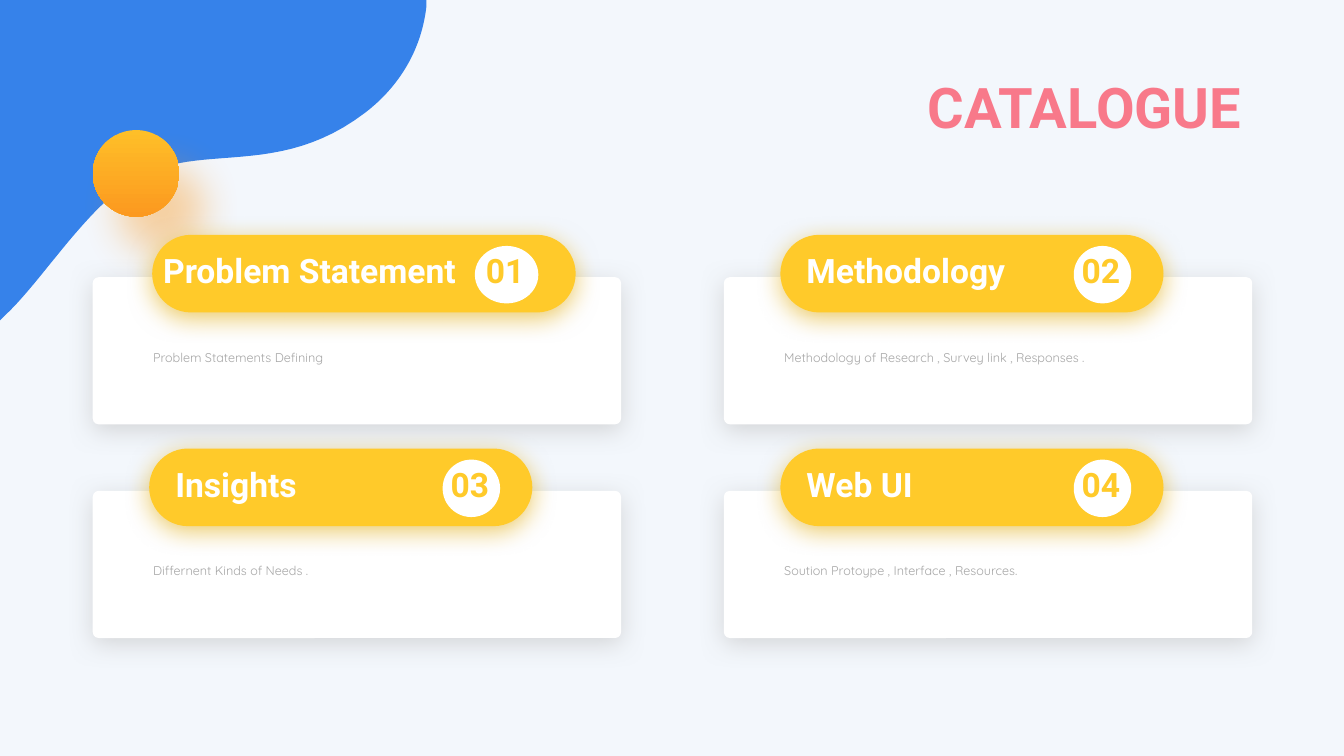
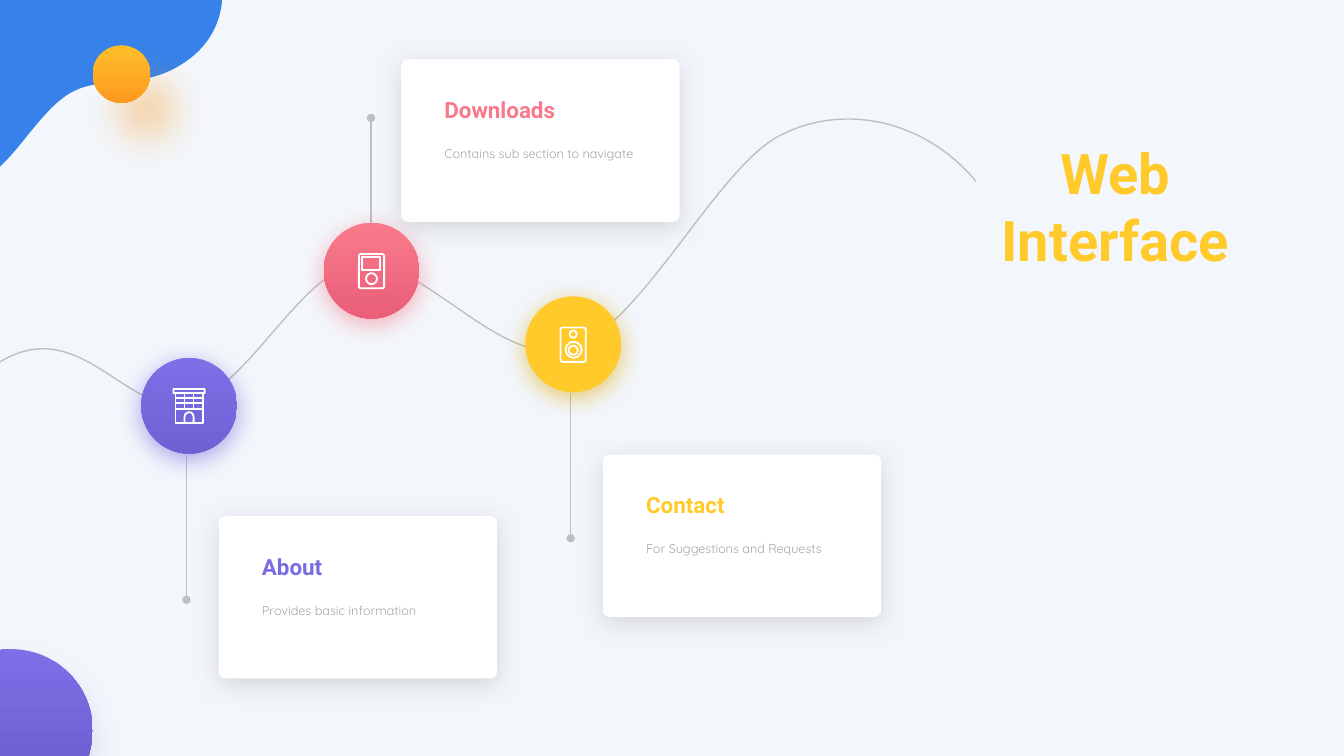
"""Build a catalogue slide and a web interface timeline slide."""
from lxml import etree
from pptx import Presentation
from pptx.dml.color import RGBColor
from pptx.enum.shapes import MSO_CONNECTOR, MSO_SHAPE
from pptx.enum.text import MSO_ANCHOR, MSO_AUTO_SIZE, PP_ALIGN
from pptx.oxml.ns import qn
from pptx.util import Inches, Pt

OVAL, RECT, ROUND = MSO_SHAPE.OVAL, MSO_SHAPE.RECTANGLE, MSO_SHAPE.ROUNDED_RECTANGLE
LEFT, MID, RIGHT = PP_ALIGN.LEFT, PP_ALIGN.CENTER, PP_ALIGN.RIGHT
TOP, FIXED = MSO_ANCHOR.TOP, MSO_AUTO_SIZE.NONE
STRAIGHT = MSO_CONNECTOR.STRAIGHT

PALE = RGBColor(0xF3, 0xF7, 0xFC)
WHITE = RGBColor(0xFF, 0xFF, 0xFF)
BLUE = RGBColor(0x36, 0x82, 0xEA)
PINK = RGBColor(0xF8, 0x79, 0x8A)
GOLD = RGBColor(0xFF, 0xCA, 0x2A)
PLUM = RGBColor(0x79, 0x6C, 0xE2)
GREY = RGBColor(0xA6, 0xA6, 0xA6)
RULE = RGBColor(0xBF, 0xBF, 0xBF)
SUNNY = (RGBColor(0xFE, 0xBF, 0x28), RGBColor(0xFC, 0x99, 0x1F))
VIOLET = (RGBColor(0x7D, 0x70, 0xE6), RGBColor(0x6D, 0x61, 0xD4))
ROSE = (RGBColor(0xF9, 0x7A, 0x8B), RGBColor(0xEA, 0x5F, 0x79))

SOFT = ("BFBFBF", 58, 18, 4, 90)
GLOW = ("DFA700", 58, 18, 4, 90)
HAZE = ("7367DB", 58, 18, 4, 90)
BLUSH = ("F8798A", 58, 18, 4, 90)
FAINT = ("7367DB", 22, 22, 11, 90)
SUN = ("FC991F", 40, 28, 31, 55)

HEAD = {"name": "Roboto", "size": Pt(40), "bold": True}
LABEL = {"name": "Roboto", "size": Pt(24), "bold": True}
NAME = {"name": "Roboto", "size": Pt(16), "bold": True}
BODY = {"name": "Quicksand", "size": Pt(9), "bold": False}
TIGHT = Pt(18)

TOPICS = [
    ("Problem Statement", "Problem Statements Defining"),
    ("Methodology", "Methodology of Research , Survey link , Responses ."),
    ("Insights", "Differnent Kinds of Needs ."),
    ("Web UI", "Soution Protoype , Interface , Resources."),
]
PILL = {"x": 0.56, "wide": 3.8, "text": 0.16, "disc": 2.91, "size": 0.57}
LONG = {"x": 0.59, "wide": 4.2, "text": 0.01, "disc": 3.2, "size": 0.63}

BLOB = [(0, 0), (4.23, 0), (4.23, 0.06), (4.19, 0.44, 4, 0.83, 3.62, 1.12),
        (2.75, 1.78, 2, 1.4, 1.35, 1.77), (0.87, 2.04, 0.43, 2.77, 0.06, 3.12),
        (0, 3.18)]
WAVE = [(0, 3.59), (0.8, 3.1, 1.27, 4.16, 1.88, 4), (2.49, 3.84, 3.03, 2.58, 3.64, 2.61),
        (4.26, 2.64, 4.99, 3.66, 5.66, 3.46), (6.34, 3.25, 7.07, 1.74, 7.69, 1.37),
        (8.32, 1.01, 9.16, 1.17, 9.68, 1.8)]
CORNER = [(0.88, 7.5), (0, 7.5), (0, 6.45), (0.02, 6.44),
          (0.05, 6.44, 0.08, 6.44, 0.11, 6.44), (0.56, 6.44, 0.92, 6.8, 0.92, 7.25),
          (0.92, 7.31, 0.91, 7.36, 0.9, 7.41)]
DOOR = [(0.52, 0.65), (0.52, 0.59), (0.52, 0.56, 0.5, 0.54, 0.48, 0.54),
        (0.45, 0.54, 0.43, 0.56, 0.43, 0.59), (0.43, 0.65)]

CASE = (ROUND, 0.35, 0.31, 0.25, 0.34)
HOUSE = {
    "parts": [(RECT, 0.34, 0.35, 0.27, 0.3), (ROUND, 0.32, 0.31, 0.31, 0.04)],
    "paths": [DOOR] + [[(0.34, y), (0.61, y)] for y in (0.4, 0.45, 0.51)]
    + [[(x, 0.35), (x, 0.51)] for x in (0.43, 0.52)],
}
SPEAKER = {"parts": [CASE, (OVAL, 0.44, 0.34, 0.07, 0.07), (OVAL, 0.4, 0.45, 0.16, 0.16),
                     (OVAL, 0.43, 0.49, 0.09, 0.09)], "paths": []}
PLAYER = {"parts": [CASE, (OVAL, 0.42, 0.5, 0.11, 0.11),
                    (RECT, 0.38, 0.34, 0.18, 0.13)], "paths": []}
STOPS = [
    ("About", "Provides basic information", 1.4, 3.55, True, PLUM, VIOLET, HAZE, HOUSE),
    ("Contact", "For Suggestions and Requests", 5.21, 2.94, True, GOLD, GOLD, GLOW, SPEAKER),
    ("Downloads", "Contains sub section to navigate", 3.21, 2.21, False, PINK, ROSE, BLUSH, PLAYER),
]


def paint(shape, fill=None, line=None, width=1.0, shadow=None):
    """Set fill, outline and shadow; a pair of colours makes a gradient."""
    if fill is None:
        shape.fill.background()
    elif isinstance(fill, RGBColor):
        shape.fill.solid()
        shape.fill.fore_color.rgb = fill
    else:
        shape.fill.gradient()
        shape.fill.gradient_angle = 270
        for stop, tint in zip(shape.fill.gradient_stops, fill):
            stop.color.rgb = tint
    if line is None:
        shape.line.fill.background()
    else:
        shape.line.color.rgb = line
        shape.line.width = Pt(width)
    shape.shadow.inherit = False
    if shadow:
        tint, alpha, blur, dist, turn = shadow
        effect = shape._element.spPr.find(qn("a:effectLst"))
        outer = etree.SubElement(effect, qn("a:outerShdw"), blurRad=str(Pt(blur)),
                                 dist=str(Pt(dist)), dir=str(turn * 60000),
                                 algn="ctr", rotWithShape="0")
        color = etree.SubElement(outer, qn("a:srgbClr"), val=tint)
        etree.SubElement(color, qn("a:alpha"), val=str(alpha * 1000))


def block(slide, kind, x, y, w, h, adj=None, **look):
    """Add a preset shape."""
    shape = slide.shapes.add_shape(kind, Inches(x), Inches(y), Inches(w), Inches(h))
    if adj is not None:
        shape.adjustments[0] = adj
    paint(shape, **look)


def trace(steps, count=24):
    """Turn line and cubic steps into points."""
    points = [steps[0]]
    for step in steps[1:]:
        if len(step) == 2:
            points.append(step)
            continue
        knots = [points[-1], step[:2], step[2:4], step[4:]]
        for i in range(1, count + 1):
            t = i / count
            mix = ((1 - t) ** 3, 3 * t * (1 - t) ** 2, 3 * t * t * (1 - t), t ** 3)
            points.append(tuple(sum(m * k[a] for m, k in zip(mix, knots)) for a in (0, 1)))
    return points


def draw(slide, steps, x=0, y=0, scale=1, close=False, **look):
    """Add a freeform outline."""
    points = [(Inches(x + a * scale), Inches(y + b * scale)) for a, b in trace(steps)]
    pen = slide.shapes.build_freeform(*points[0])
    pen.add_line_segments(points[1:], close=close)
    paint(pen.convert_to_shape(), **look)


def write(frame, text, font, color, align=LEFT, space=None):
    """Fill a text frame with one formatted paragraph."""
    for key, value in {"word_wrap": True, "auto_size": FIXED, "vertical_anchor": TOP}.items():
        setattr(frame, key, value)
    line = frame.paragraphs[0]
    line.text = text
    line.alignment = align
    if space:
        line.line_spacing = space
    for key, value in font.items():
        setattr(line.font, key, value)
    line.font.color.rgb = color


def note(slide, text, x, y, w, h, *style):
    """Add a text box."""
    box = slide.shapes.add_textbox(Inches(x), Inches(y), Inches(w), Inches(h))
    write(box.text_frame, text, *style)


def stem(slide, x, top, end):
    """Add a vertical line that ends in a dot."""
    line = slide.shapes.add_connector(STRAIGHT, Inches(x), Inches(top), Inches(x), Inches(end))
    line.line.color.rgb = RULE
    line.line.width = Pt(1)
    etree.SubElement(line.line._get_or_add_ln(), qn("a:tailEnd"), type="oval")
    etree.SubElement(line._element.spPr, qn("a:effectLst"))


def start(deck, text, place, color, align):
    """Add a slide and set its title."""
    slide = deck.slides.add_slide(deck.slide_layouts[5])
    title = slide.shapes.title
    for key, value in zip(("left", "top", "width", "height"), place):
        setattr(title, key, Inches(value))
    write(title.text_frame, text, HEAD, color, align)
    return slide


def splash(slide, scale, y, size):
    """Add the blue blob and the orange ball."""
    draw(slide, BLOB, scale=scale, close=True, fill=BLUE)
    block(slide, OVAL, 0.92, y, size, size, fill=SUNNY, shadow=SUN)


def catalogue(deck):
    """Build the grid of four topics."""
    slide = start(deck, "CATALOGUE", (6.63, 0.67, 5.78, 0.77), PINK, RIGHT)
    splash(slide, 1, 1.29, 0.86)
    for i, (label, body) in enumerate(TOPICS):
        row, col = divmod(i, 2)
        x, y = 0.92 + 6.26 * col, 2.75 + 2.12 * row
        form = PILL if i else LONG
        left, size = x + form["x"], form["size"]
        disc = left + form["disc"]
        block(slide, ROUND, x, y, 5.24, 1.46, 0.04, fill=WHITE, shadow=SOFT)
        block(slide, ROUND, left, y - 0.42, form["wide"], 0.77, 0.5, fill=GOLD, shadow=GLOW)
        note(slide, label, left + form["text"], y - 0.17, form["disc"] + 0.1, 0.35,
             LABEL, WHITE, LEFT, TIGHT)
        block(slide, OVAL, disc, y - 0.31, size, 0.57, fill=WHITE)
        note(slide, f"{i + 1:02}", disc + size / 2 - 0.43, y - 0.32, 0.83, 0.5,
             LABEL, GOLD, MID)
        note(slide, body, x + 0.5, y + 0.57, 4.43, 0.35, BODY, GREY, LEFT, TIGHT)


def timeline(deck):
    """Build the wave with three stops."""
    slide = start(deck, "Web Interface", (9.52, 1.32, 3.08, 1.45), GOLD, MID)
    draw(slide, WAVE, line=RULE)
    splash(slide, 0.52, 0.45, 0.57)
    draw(slide, CORNER, close=True, fill=VIOLET, shadow=FAINT)
    for name, body, x, y, down, color, fill, shadow, icon in STOPS:
        if down:
            stem(slide, x + 0.45, y + 0.96, y + 2.4)
        else:
            stem(slide, x + 0.47, y, y - 1.04)
        left, top = x + 0.77, y + (1.57 if down else -1.62)
        block(slide, ROUND, left, top, 2.76, 1.61, 0.04, fill=WHITE, shadow=SOFT)
        note(slide, name, left + 0.33, top + 0.33, 2.1, 0.35, NAME, color, LEFT, TIGHT)
        note(slide, body, left + 0.33, top + 0.71, 2.2, 0.35, BODY, GREY, LEFT, TIGHT)
        block(slide, OVAL, x, y, 0.95, 0.95, fill=fill, shadow=shadow)
        for kind, dx, dy, w, h in icon["parts"]:
            block(slide, kind, x + dx, y + dy, w, h, 0.08 if kind == ROUND else None,
                  line=WHITE, width=1.29)
        for steps in icon["paths"]:
            draw(slide, steps, x, y, line=WHITE, width=1.29)


def main():
    """Build and save the deck."""
    deck = Presentation()
    deck.slide_width, deck.slide_height = Inches(13.33), Inches(7.5)
    back = deck.slide_master.background.fill
    back.solid()
    back.fore_color.rgb = PALE
    catalogue(deck)
    timeline(deck)
    deck.save("out.pptx")


if __name__ == "__main__":
    main()
